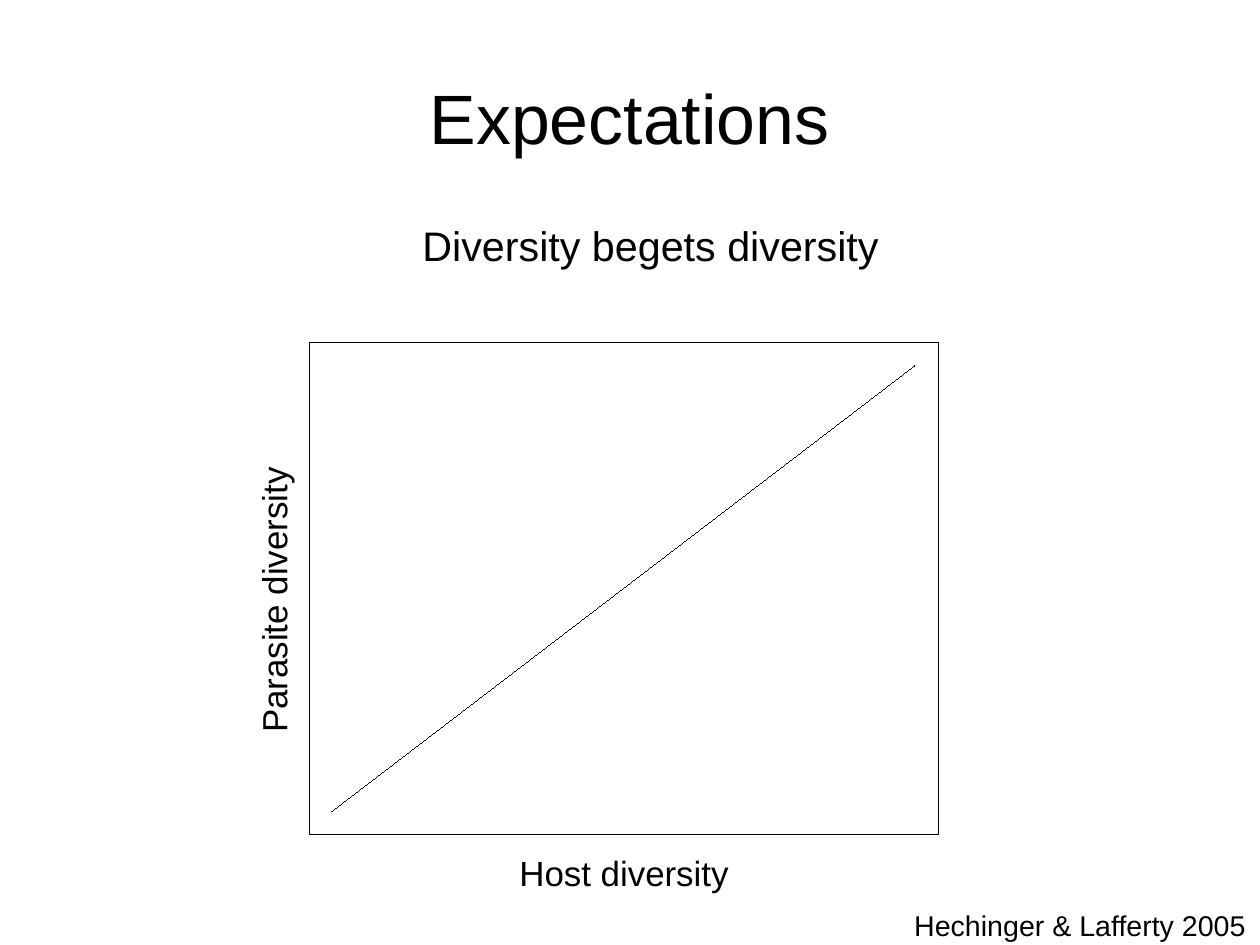
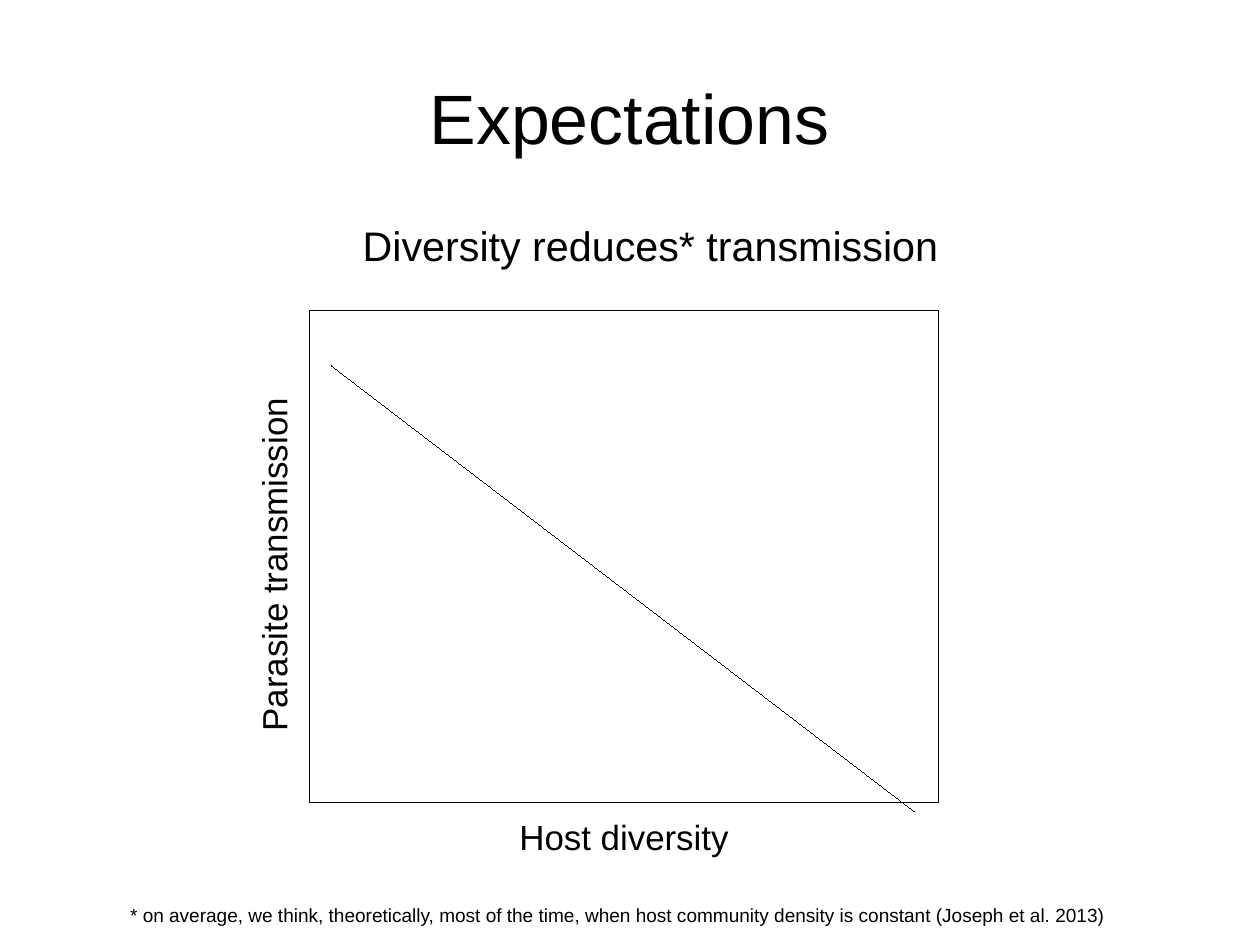
from lxml.etree import SubElement
from pptx import Presentation
from pptx.dml.color import RGBColor
from pptx.enum.shapes import MSO_CONNECTOR, MSO_SHAPE
from pptx.enum.text import MSO_ANCHOR, MSO_AUTO_SIZE, PP_ALIGN
from pptx.oxml.ns import qn
from pptx.util import Inches, Pt

BLACK = RGBColor(0x00, 0x00, 0x00)
WHITE = RGBColor(0xFF, 0xFF, 0xFF)
FONT = "Arial"
SLIDE_SIZE = (28 / 2.54, 21 / 2.54)
TITLE_BOX = (0.55, 0.33, 9.92, 1.38)
BODY_BOX = (0.5, 1.93, 9.92, 4.79)
TREND_BOX = (2.9, 3.2, 5.1, 3.9)
LABEL_HEIGHT = 0.54
Y_LABEL_CENTRE = 0.28


def place(part, box):
    part.left, part.top, part.width, part.height = map(Inches, box)


def write(part, text, size, align=PP_ALIGN.CENTER, anchor=MSO_ANCHOR.TOP,
          inset=(0.1, 0.05), indent=0, after=0):
    frame = part.text_frame
    frame.auto_size = MSO_AUTO_SIZE.NONE
    frame.word_wrap = True
    frame.vertical_anchor = anchor
    frame.margin_left = frame.margin_right = Inches(inset[0])
    frame.margin_top = frame.margin_bottom = Inches(inset[1])
    frame.text = text
    paragraph = frame.paragraphs[0]
    paragraph.alignment = align
    paragraph.space_before = Pt(0)
    paragraph.space_after = Pt(after)
    properties = paragraph._p.get_or_add_pPr()
    properties.set("marL", str(Inches(indent)))
    properties.set("indent", "0")
    SubElement(properties, qn("a:buNone"))
    font = paragraph.runs[0].font
    font.name, font.size, font.color.rgb = FONT, Pt(size), BLACK


def add_label(slide, box, text, size, rotation=0, **style):
    label = slide.shapes.add_textbox(*map(Inches, box))
    label.rotation = rotation
    write(label, text, size, **style)


def add_headings(slide, claim):
    title, body = slide.shapes.title, slide.placeholders[1]
    place(title, TITLE_BOX)
    write(title, "Expectations", 44, anchor=MSO_ANCHOR.MIDDLE, inset=(0, 0))
    place(body, BODY_BOX)
    write(body, claim, 26, inset=(0, 0), indent=0.47, after=14.2)


def outline_hairline(part):
    part.line.color.rgb = BLACK
    part._element.spPr.find(qn("a:ln")).set("w", "0")


def add_plot(slide, box, y_label, gap):
    left, top, width, height = box
    plot = slide.shapes.add_shape(MSO_SHAPE.RECTANGLE, *map(Inches, box))
    plot.shadow.inherit = False
    plot.fill.solid()
    plot.fill.fore_color.rgb = WHITE
    outline_hairline(plot)
    add_label(slide, (left, top + height + gap, width, LABEL_HEIGHT),
              "Host diversity", 22)
    y_left = left - Y_LABEL_CENTRE - width / 2
    y_top = top + height / 2 + gap - LABEL_HEIGHT / 2
    add_label(slide, (y_left, y_top, width, LABEL_HEIGHT), y_label, 22, rotation=270)


def add_trend(slide, box, rising):
    left, top, width, height = box
    start, end = (top + height, top) if rising else (top, top + height)
    trend = slide.shapes.add_connector(
        MSO_CONNECTOR.STRAIGHT, *map(Inches, (left, start, left + width, end)))
    outline_hairline(trend)
    SubElement(trend._element.spPr, qn("a:effectLst"))


def add_expectation(deck, claim, y_label, plot_box, gap, rising, note, note_box, note_size):
    slide = deck.slides.add_slide(deck.slide_layouts[1])
    add_headings(slide, claim)
    add_plot(slide, plot_box, y_label, gap)
    add_trend(slide, TREND_BOX, rising)
    add_label(slide, note_box, note, note_size, align=PP_ALIGN.LEFT)


def main():
    deck = Presentation()
    deck.slide_width, deck.slide_height = map(Inches, SLIDE_SIZE)
    add_expectation(
        deck, "Diversity begets diversity", "Parasite diversity",
        plot_box=(2.71, 3, 5.5, 4.3), gap=0.1, rising=True,
        note="Hechinger & Lafferty 2005", note_box=(7.9, 7.89, 3.32, 0.46), note_size=18)
    add_expectation(
        deck, "Diversity reduces* transmission", "Parasite transmission",
        plot_box=(2.71, 2.72, 5.5, 4.3), gap=0.07, rising=False,
        note="* on average, we think, theoretically, most of the time, when host "
             "community density is constant (Joseph et al. 2013)",
        note_box=(1.04, 7.86, 12.06, 0.34), note_size=12)
    deck.save("out.pptx")


if __name__ == "__main__":
    main()
